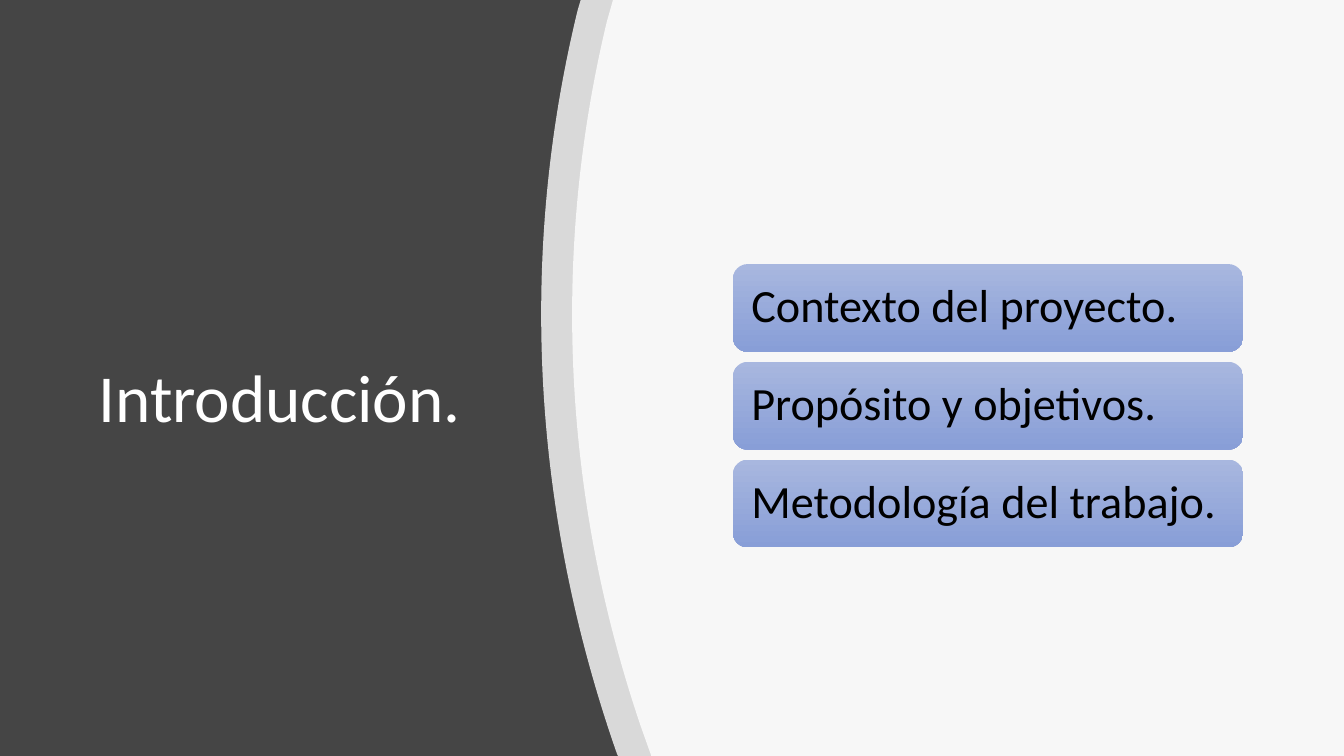
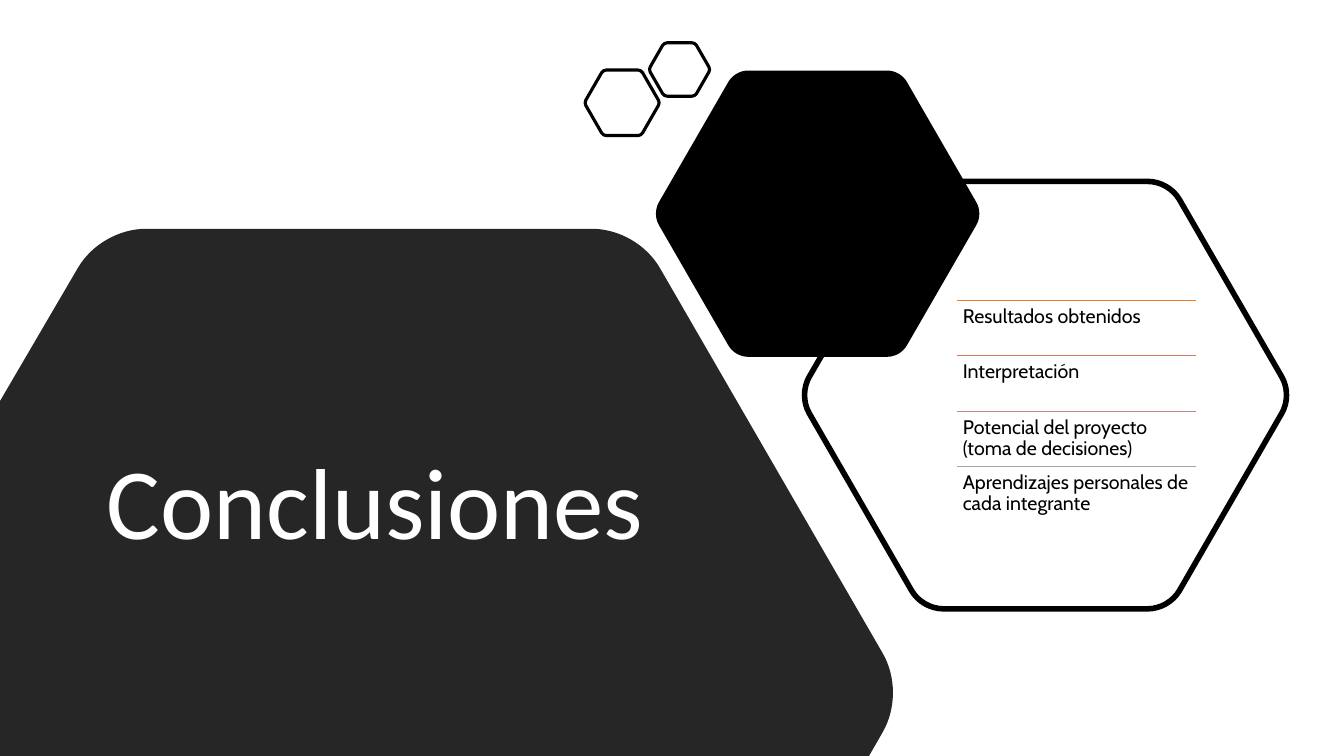
import math
from dataclasses import dataclass

import lxml.etree
import pptx
import pptx.dml.color
import pptx.enum.shapes
import pptx.enum.text
import pptx.oxml.ns
import pptx.presentation
import pptx.shapes.autoshape
import pptx.slide
import pptx.text.text
import pptx.util
from pptx.util import Inches

Point = tuple[float, float]
Segment = list[Point]  # one point for a line, three for a cubic curve

WIDTH, HEIGHT = 13.33, 7.5
WHITE, BLACK = "FFFFFF", "000000"
GRAPHITE, CHARCOAL = "454545", "262626"
CARD_TOP_COLOUR, CARD_BOTTOM_COLOUR = "A8B7DF", "889ED7"
HEADING_FONT, LIST_FONT = "Calibri", "Cabin"
MIDDLE = pptx.enum.text.MSO_ANCHOR.MIDDLE
TOP = pptx.enum.text.MSO_ANCHOR.TOP


@dataclass(frozen=True)
class Box:
    left: float
    top: float
    width: float
    height: float

    def lengths(self) -> list[pptx.util.Length]:
        return [Inches(v) for v in (self.left, self.top, self.width, self.height)]


@dataclass(frozen=True)
class TextStyle:
    font: str
    size: float
    colour: str
    anchor: pptx.enum.text.MSO_ANCHOR = MIDDLE
    inset_x: float = 0.1
    inset_y: float = 0.05


@dataclass(frozen=True)
class Corner:
    """Vertex of an outline; cut is the length rounded off on either side."""
    x: float
    y: float
    cut: float = 0

    def toward(self, other: "Corner", distance: float) -> Point:
        share = distance / math.dist((self.x, self.y), (other.x, other.y))
        return self.x + share * (other.x - self.x), self.y + share * (other.y - self.y)


@dataclass(frozen=True)
class Hexagon:
    centre: Point
    height: float
    cut: float
    fill: str | None = None
    line_width: float = 0

    def corners(self) -> list[Corner]:
        radius = self.height / math.sqrt(3)
        x, y = self.centre
        angles = [math.radians(60 * i) for i in range(6)]
        return [Corner(x + radius * math.cos(a), y + radius * math.sin(a), self.cut)
                for a in angles]


@dataclass(frozen=True)
class Panel:
    """Translucent area right of a curve that runs from bottom to top."""
    bottom_x: float
    curve_start: Point
    curve: Segment
    top_x: float

    def outline(self) -> list[Segment]:
        return [[(self.top_x, 0)], [(WIDTH, 0)], [(WIDTH, HEIGHT)],
                [(self.bottom_x, HEIGHT)], [self.curve_start], self.curve]


@dataclass(frozen=True)
class Conclusion:
    text: str
    rule_colour: str


CARD_STYLE = TextStyle(HEADING_FONT, 33, BLACK, inset_x=0.14)
CONCLUSION_STYLE = TextStyle(LIST_FONT, 14, BLACK, TOP, 0.06, 0.06)

TOPICS = ["Contexto del proyecto.", "Propósito y objetivos.", "Metodología del trabajo."]
TOPIC_BOX, TOPIC_PITCH = Box(7.27, 2.62, 5.06, 0.87), 0.97

PANELS = [
    Panel(6.13, (6.12, 7.48), [(5.3, 5.14), (5.12, 2.6), (5.73, 0.1)], 5.76),
    Panel(6.46, (6.36, 7.22), [(5.6, 4.99), (5.45, 2.58), (6.02, 0.21)], 6.08),
]

CONCLUSIONS = [
    Conclusion("Resultados obtenidos", "ED7D31"),
    Conclusion("Interpretación", "D17B5C"),
    Conclusion("Potencial del proyecto (toma de decisiones)", "B98A82"),
    Conclusion("Aprendizajes personales de cada integrante", "A5A5A5"),
]
CONCLUSION_BOX = Box(9.49, 2.98, 2.37, 0.55)

LARGE_HEXAGONS = [
    Hexagon((10.37, 3.92), 4.24, 0.21, line_width=4),
    Hexagon((8.11, 2.12), 2.84, 0.13, fill=BLACK),
]
SMALL_HEXAGONS = [
    Hexagon((6.17, 1.02), 0.65, 0.03, line_width=2.25),
    Hexagon((6.74, 0.69), 0.53, 0.03, line_width=2.25),
]
TITLE_HEXAGON = [
    Corner(1, 2.27, 0.45), Corner(6.32, 2.27, 0.45), Corner(8.98, 6.87, 0.45),
    Corner(8.62, HEIGHT), Corner(0, HEIGHT), Corner(0, 3.98),
]


def rgb(colour: str) -> pptx.dml.color.RGBColor:
    return pptx.dml.color.RGBColor.from_string(colour)


def rounded(corners: list[Corner]) -> list[Segment]:
    outline: list[Segment] = []
    for i, corner in enumerate(corners):
        if not corner.cut:
            outline.append([(corner.x, corner.y)])
            continue
        before, after = corners[i - 1], corners[(i + 1) % len(corners)]
        handle = 0.4 * corner.cut
        outline.append([corner.toward(before, corner.cut)])
        outline.append([corner.toward(before, handle), corner.toward(after, handle),
                        corner.toward(after, corner.cut)])
    return outline


def samples(outline: list[Segment], steps: int = 40) -> list[Point]:
    """Points along the outline, dense enough to measure its extent."""
    points = [outline[0][0]]
    for segment in outline[1:]:
        controls = [points[-1], *segment]
        degree = len(segment)
        for t in (step / steps for step in range(1, steps + 1)):
            weights = [math.comb(degree, i) * t**i * (1 - t)**(degree - i)
                       for i in range(degree + 1)]
            points.append((sum(w * x for w, (x, _) in zip(weights, controls)),
                           sum(w * y for w, (_, y) in zip(weights, controls))))
    return points


def draw_curves(shape: pptx.shapes.autoshape.Shape, outline: list[Segment]) -> None:
    """Replace the shape's measured geometry by lines and true cubic curves."""
    qn = pptx.oxml.ns.qn
    geometry = shape._element.spPr.find(".//" + qn("a:path"))
    for command in list(geometry):
        geometry.remove(command)
    for i, segment in enumerate(outline):
        tag = "a:moveTo" if i == 0 else "a:lnTo" if len(segment) == 1 else "a:cubicBezTo"
        command = lxml.etree.SubElement(geometry, qn(tag))
        for x, y in segment:
            lxml.etree.SubElement(command, qn("a:pt"), x=str(Inches(x) - shape.left),
                                  y=str(Inches(y) - shape.top))
    lxml.etree.SubElement(geometry, qn("a:close"))


def add_outline(slide: pptx.slide.Slide, outline: list[Segment], fill: str | None = None,
                line_width: float = 0, opacity: int = 100) -> None:
    """Draw a closed outline; opacity is the percentage kept by its fill."""
    start, *rest = [(Inches(x), Inches(y)) for x, y in samples(outline)]
    builder = slide.shapes.build_freeform(*start)
    builder.add_line_segments(rest)
    shape = builder.convert_to_shape()
    draw_curves(shape, outline)
    shape.shadow.inherit = False
    if fill:
        shape.fill.solid()
        shape.fill.fore_color.rgb = rgb(fill)
    else:
        shape.fill.background()
    if line_width:
        shape.line.color.rgb = rgb(BLACK)
        shape.line.width = pptx.util.Pt(line_width)
    else:
        shape.line.fill.background()
    if opacity < 100:
        colour = shape._element.spPr.find(".//" + pptx.oxml.ns.qn("a:srgbClr"))
        lxml.etree.SubElement(colour, pptx.oxml.ns.qn("a:alpha"), val=str(opacity * 1000))


def add_hexagons(slide: pptx.slide.Slide, hexagons: list[Hexagon]) -> None:
    for hexagon in hexagons:
        add_outline(slide, rounded(hexagon.corners()), hexagon.fill, hexagon.line_width)


def write(frame: pptx.text.text.TextFrame, text: str, style: TextStyle) -> None:
    frame.word_wrap = True
    frame.vertical_anchor = style.anchor
    frame.margin_left = frame.margin_right = Inches(style.inset_x)
    frame.margin_top = frame.margin_bottom = Inches(style.inset_y)
    paragraph = frame.paragraphs[0]
    paragraph.text = text
    paragraph.alignment = pptx.enum.text.PP_ALIGN.LEFT
    paragraph.line_spacing = 0.9
    paragraph.font.name = style.font
    paragraph.font.size = pptx.util.Pt(style.size)
    paragraph.font.color.rgb = rgb(style.colour)


def add_text(slide: pptx.slide.Slide, box: Box, text: str, style: TextStyle) -> None:
    write(slide.shapes.add_textbox(*box.lengths()).text_frame, text, style)


def add_title(slide: pptx.slide.Slide, box: Box, text: str, size: float) -> None:
    add_text(slide, box, text, TextStyle(HEADING_FONT, size, WHITE))


def add_card(slide: pptx.slide.Slide, box: Box, text: str) -> None:
    card = slide.shapes.add_shape(
        pptx.enum.shapes.MSO_SHAPE.ROUNDED_RECTANGLE, *box.lengths())
    card.shadow.inherit = False
    card.line.fill.background()
    card.fill.gradient()
    card.fill.gradient_angle = 270
    for stop, colour in zip(card.fill.gradient_stops, (CARD_TOP_COLOUR, CARD_BOTTOM_COLOUR)):
        stop.color.rgb = rgb(colour)
    write(card.text_frame, text, CARD_STYLE)


def add_rule(slide: pptx.slide.Slide, box: Box, colour: str) -> None:
    """Draw a thin line along the top of the box."""
    left, top, width, _ = box.lengths()
    rule = slide.shapes.add_connector(
        pptx.enum.shapes.MSO_CONNECTOR.STRAIGHT, left, top, left + width, top)
    rule.line.color.rgb = rgb(colour)
    rule.line.width = pptx.util.Pt(0.5)
    lxml.etree.SubElement(rule._element.spPr, pptx.oxml.ns.qn("a:effectLst"))


def stacked(first: Box, index: int, pitch: float) -> Box:
    return Box(first.left, first.top + index * pitch, first.width, first.height)


def add_slide(deck: pptx.presentation.Presentation, background: str) -> pptx.slide.Slide:
    slide = deck.slides.add_slide(deck.slide_layouts[6])
    slide.background.fill.solid()
    slide.background.fill.fore_color.rgb = rgb(background)
    return slide


def build_introduction(deck: pptx.presentation.Presentation) -> None:
    slide = add_slide(deck, GRAPHITE)
    add_title(slide, Box(0.88, 1.58, 3.96, 4.79), "Introducción.", 48)
    for panel in PANELS:
        add_outline(slide, panel.outline(), WHITE, opacity=80)
    for i, topic in enumerate(TOPICS):
        add_card(slide, stacked(TOPIC_BOX, i, TOPIC_PITCH), topic)


def build_conclusions(deck: pptx.presentation.Presentation) -> None:
    slide = add_slide(deck, WHITE)
    add_hexagons(slide, LARGE_HEXAGONS)
    add_outline(slide, rounded(TITLE_HEXAGON), CHARCOAL)
    add_title(slide, Box(0.96, 3.24, 5.6, 3.57), "Conclusiones", 72)
    add_hexagons(slide, SMALL_HEXAGONS)
    for i, conclusion in enumerate(CONCLUSIONS):
        box = stacked(CONCLUSION_BOX, i, CONCLUSION_BOX.height)
        add_rule(slide, box, conclusion.rule_colour)
        add_text(slide, box, conclusion.text, CONCLUSION_STYLE)


def main() -> None:
    deck = pptx.Presentation()
    deck.slide_width, deck.slide_height = Inches(WIDTH), Inches(HEIGHT)
    build_introduction(deck)
    build_conclusions(deck)
    deck.save("out.pptx")


if __name__ == "__main__":
    main()
